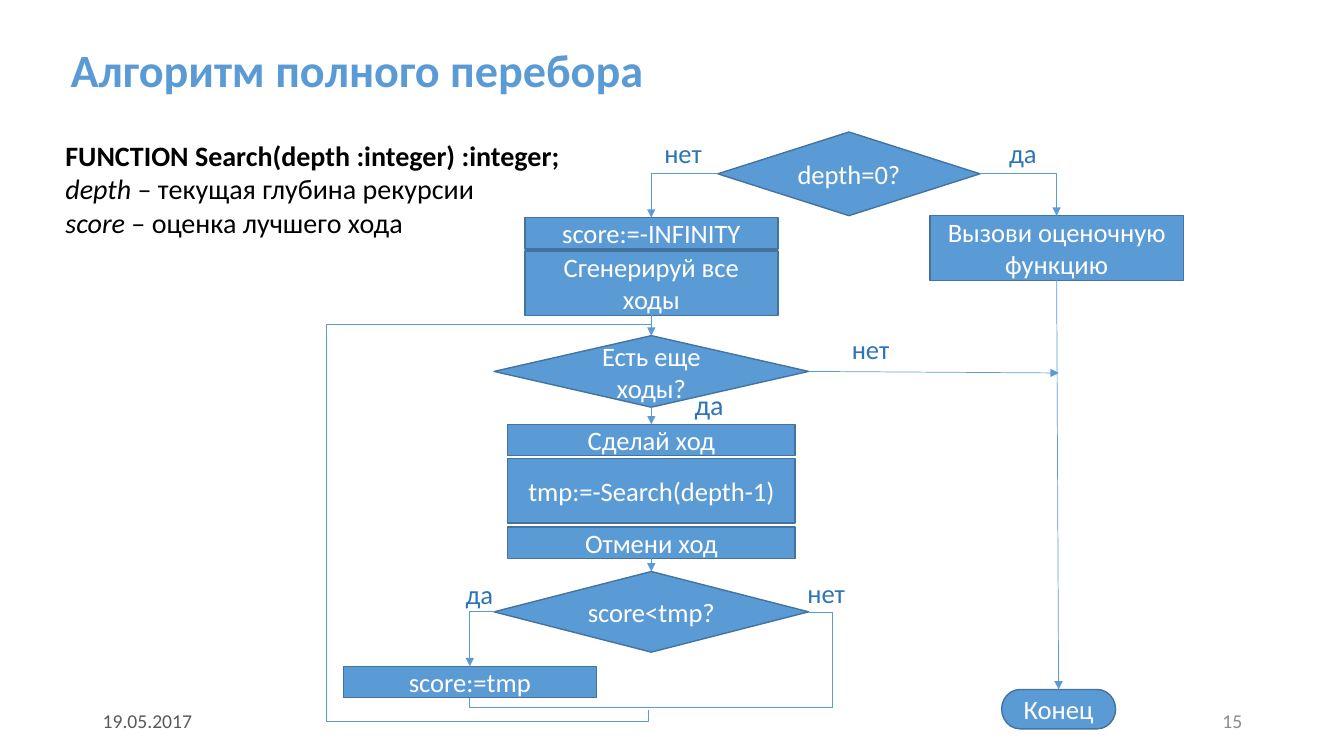
"""Build a slide with the flowchart of the exhaustive search algorithm."""
from lxml.etree import SubElement
from pptx import Presentation
from pptx.dml.color import RGBColor
from pptx.enum.shapes import MSO_CONNECTOR, MSO_SHAPE
from pptx.enum.text import MSO_ANCHOR, MSO_AUTO_SIZE, PP_ALIGN
from pptx.oxml.ns import qn
from pptx.util import Inches, Pt

COLORS = {
    "accent": "5B9BD5",
    "outline": "43739E",
    "label": "2E75B6",
    "text": "000000",
    "date": "595959",
    "number": "8C8C8C",
    "white": "FFFFFF",
}
TOP, LEFT, BOTTOM, RIGHT = range(4)
MAIN_X = 6.46
DECISION = MSO_SHAPE.FLOWCHART_DECISION
PROCESS = MSO_SHAPE.FLOWCHART_PROCESS
TERMINATOR = MSO_SHAPE.FLOWCHART_TERMINATOR


def color(name):
    return RGBColor.from_string(COLORS[name])


def add_run(paragraph, text, size, color_name, bold=False, italic=False):
    run = paragraph.add_run()
    run.text = text
    run.font.name = "Calibri"
    run.font.size = Pt(size)
    run.font.bold = bold
    run.font.italic = italic
    run.font.color.rgb = color(color_name)


def add_title(slide, text):
    title = slide.shapes.title
    title.left, title.top = Inches(0.6), Inches(0.13)
    title.width, title.height = Inches(9.37), Inches(1.18)
    frame = title.text_frame
    frame.auto_size = MSO_AUTO_SIZE.NONE
    frame.vertical_anchor = MSO_ANCHOR.MIDDLE
    paragraph = frame.paragraphs[0]
    paragraph.alignment = PP_ALIGN.LEFT
    paragraph.line_spacing = 0.9
    add_run(paragraph, text, 33, "accent", bold=True)


def add_text(slide, box, lines, anchor=MSO_ANCHOR.TOP, align=PP_ALIGN.LEFT):
    frame = slide.shapes.add_textbox(*map(Inches, box)).text_frame
    frame.word_wrap = True
    frame.vertical_anchor = anchor
    for index, runs in enumerate(lines):
        paragraph = frame.add_paragraph() if index else frame.paragraphs[0]
        paragraph.alignment = align
        for run in runs:
            add_run(paragraph, *run)
    return frame


def add_label(slide, text, left, top, size=19):
    width = 0.58 if text == "нет" else 0.5
    frame = add_text(slide, (left, top, width, 0.42), [[(text, size, "label")]])
    frame.word_wrap = False
    frame.auto_size = MSO_AUTO_SIZE.SHAPE_TO_FIT_TEXT
    frame.margin_right = 0


def add_step(slide, kind, text, center, top, width, height):
    step = slide.shapes.add_shape(
        kind, Inches(center - width / 2), Inches(top), Inches(width), Inches(height))
    step.shadow.inherit = False
    step.fill.solid()
    step.fill.fore_color.rgb = color("accent")
    step.line.color.rgb = color("outline")
    step.line.width = Pt(1)
    frame = step.text_frame
    frame.word_wrap = True
    frame.vertical_anchor = MSO_ANCHOR.MIDDLE
    paragraph = frame.paragraphs[0]
    paragraph.alignment = PP_ALIGN.CENTER
    add_run(paragraph, text, 19, "white")
    return step


def add_line(slide, start, end, kind=MSO_CONNECTOR.STRAIGHT, arrow=True):
    line = slide.shapes.add_connector(kind, *map(Inches, (*start, *end)))
    line.line.color.rgb = color("accent")
    line.line.width = Pt(0.5)
    if arrow:
        SubElement(line.line._get_or_add_ln(), qn("a:tailEnd"), type="triangle")
    SubElement(line._element.spPr, qn("a:effectLst"))
    return line


def join(slide, source, target):
    arrow = add_line(slide, (0, 0), (1, 1))
    arrow.begin_connect(source, BOTTOM)
    arrow.end_connect(target, TOP)


def add_elbow(slide, start, end, preset, adjustments=(), arrow=True, rotation=0):
    elbow = add_line(slide, start, end, MSO_CONNECTOR.ELBOW, arrow)
    geometry = elbow._element.spPr.find(qn("a:prstGeom"))
    geometry.set("prst", preset)
    guides = geometry.find(qn("a:avLst"))
    for number, value in enumerate(adjustments, 1):
        SubElement(guides, qn("a:gd"), name=f"adj{number}",
                   fmla=f"val {round(value * 100000)}")
    if rotation:
        elbow._element.spPr.find(qn("a:xfrm")).set("rot", str(rotation * 60000))


def add_flowchart(slide):
    add_step(slide, DECISION, "depth=0?", 8.42, 1.31, 2.6, 0.83)
    evaluate = add_step(slide, PROCESS, "Вызови оценочную функцию", 10.48, 2.14, 2.51, 0.64)
    finish = add_step(slide, TERMINATOR, "Конец", 10.5, 6.84, 1.13, 0.39)
    add_step(slide, PROCESS, "score:=-INFINITY", MAIN_X, 2.16, 2.51, 0.31)
    generate = add_step(slide, PROCESS, "Сгенерируй все ходы", MAIN_X, 2.49, 2.51, 0.64)
    more_moves = add_step(slide, DECISION, "Есть еще ходы?", MAIN_X, 3.33, 3.12, 0.71)
    make_move = add_step(slide, PROCESS, "Сделай ход", MAIN_X, 4.21, 2.85, 0.31)
    add_step(slide, PROCESS, "tmp:=-Search(depth-1)", MAIN_X, 4.55, 2.85, 0.64)
    undo_move = add_step(slide, PROCESS, "Отмени ход", MAIN_X, 5.23, 2.85, 0.31)
    compare = add_step(slide, DECISION, "score<tmp?", MAIN_X, 5.67, 3.12, 0.8)
    add_step(slide, PROCESS, "score:=tmp", 4.66, 6.61, 2.51, 0.31)

    for source, target in ((generate, more_moves), (more_moves, make_move),
                           (undo_move, compare), (evaluate, finish)):
        join(slide, source, target)
    no_moves = add_line(slide, (8.02, 3.68), (10.5, 3.7))
    no_moves.begin_connect(more_moves, RIGHT)

    for start, end in (((9.72, 1.72), (10.48, 2.14)),
                       ((7.12, 1.72), (6.46, 2.16)),
                       ((4.91, 6.07), (4.66, 6.61))):
        add_elbow(slide, start, end, "bentConnector2")
    add_elbow(slide, (8.02, 6.07), (4.66, 6.92), "bentConnector4",
              (-0.07, 1.12), arrow=False)
    add_elbow(slide, (8.31, 5.2), (4.59, 5.17), "bentConnector5",
              (-0.03, -106.8, 1.03), arrow=False, rotation=90)

    for text, left, top in (("нет", 6.49, 1.31), ("да", 9.91, 1.31), ("нет", 8.35, 3.25),
                            ("да", 4.52, 5.68), ("нет", 7.91, 5.67)):
        add_label(slide, text, left, top)
    add_label(slide, "да", 6.79, 3.79, size=20)


def main():
    deck = Presentation()
    deck.slide_width, deck.slide_height = Inches(13.33), Inches(7.5)
    slide = deck.slides.add_slide(deck.slide_layouts[5])
    add_title(slide, "Алгоритм полного перебора")
    add_text(slide, (0.55, 1.32, 5.18, 1.45), [
        [("FUNCTION Search(depth :integer) :integer;", 20, "text", True)],
        [("depth ", 20, "text", False, True),
         ("– текущая глубина рекурсии", 20, "text")],
        [("score", 20, "text", False, True),
         (" – оценка лучшего хода", 20, "text")],
    ])
    add_flowchart(slide)
    add_text(slide, (0.92, 6.95, 3, 0.4), [[("19.05.2017", 14, "date")]],
             anchor=MSO_ANCHOR.MIDDLE)
    add_text(slide, (9.42, 6.95, 3, 0.4), [[("15", 14, "number")]],
             anchor=MSO_ANCHOR.MIDDLE, align=PP_ALIGN.RIGHT)
    deck.save("out.pptx")


if __name__ == "__main__":
    main()
